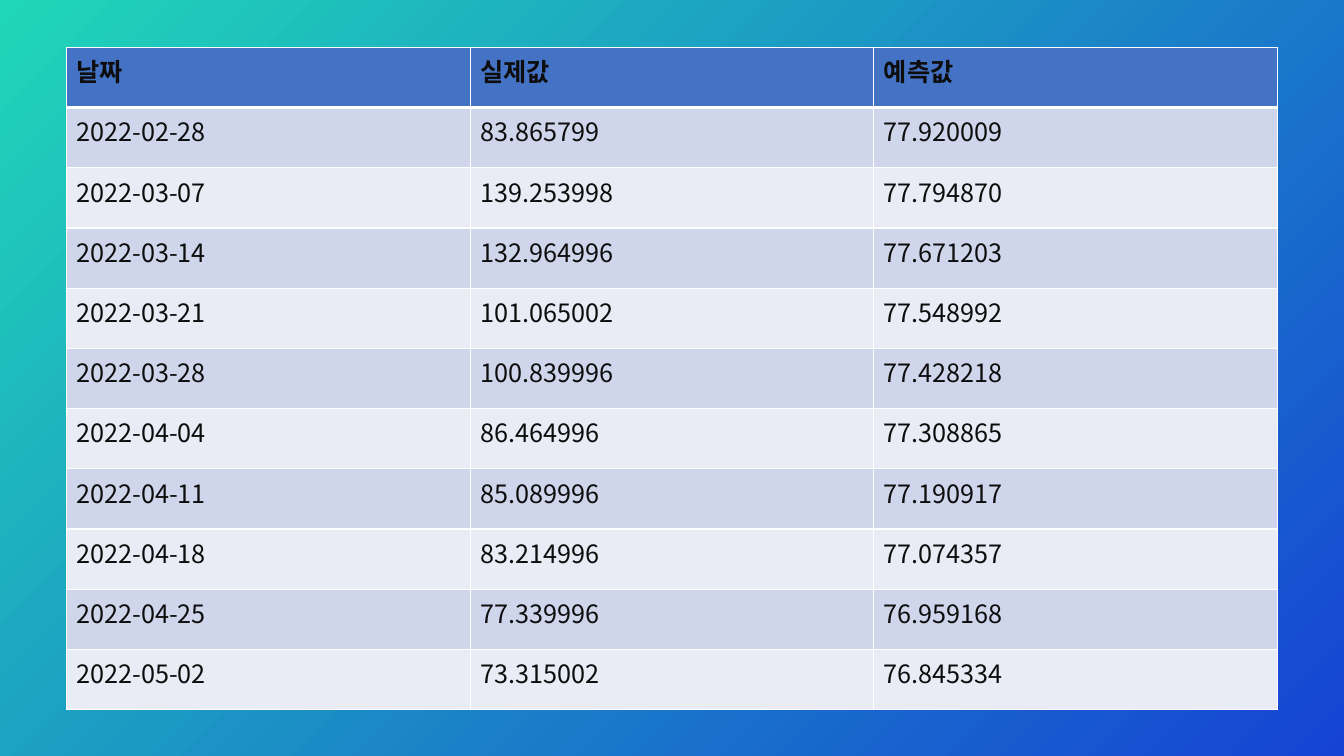
from lxml.etree import SubElement
from pptx import Presentation
from pptx.dml.color import RGBColor
from pptx.oxml import parse_xml
from pptx.oxml.ns import nsdecls, qn
from pptx.util import Inches, Pt

FONT = "Noto Sans CJK KR"
COLORS = {
    "gradient_start": "20D6B8",
    "gradient_end": "1643D4",
    "header": "4472C4",
    "odd_row": "CFD5EA",
    "even_row": "E9EBF5",
    "border": "FFFFFF",
    "text": "0D0D0D",
}
FORECAST = [
    ("날짜", "실제값", "예측값"),
    ("2022-02-28", "83.865799", "77.920009"),
    ("2022-03-07", "139.253998", "77.794870"),
    ("2022-03-14", "132.964996", "77.671203"),
    ("2022-03-21", "101.065002", "77.548992"),
    ("2022-03-28", "100.839996", "77.428218"),
    ("2022-04-04", "86.464996", "77.308865"),
    ("2022-04-11", "85.089996", "77.190917"),
    ("2022-04-18", "83.214996", "77.074357"),
    ("2022-04-25", "77.339996", "76.959168"),
    ("2022-05-02", "73.315002", "76.845334"),
]


def color(name):
    return RGBColor.from_string(COLORS[name])


def paint_background(page):
    fill = page.background.fill
    fill.gradient()
    fill.gradient_angle = 315  # counter-clockwise: top left to bottom right
    for stop, name in zip(fill.gradient_stops, ("gradient_start", "gradient_end")):
        stop.color.rgb = color(name)


def write_text(frame, text, size=18, bold=False, font=FONT, ink="text"):
    span = frame.paragraphs[0].add_run()
    span.text = text
    span.font.size = Pt(size)
    span.font.bold = bold
    span.font.color.rgb = color(ink)
    span.font.name = font
    SubElement(span.font._element, qn("a:ea"), typeface=font)


def set_borders(cell, left=1, right=1, top=1, bottom=1):
    """Draw the four cell borders, with widths in points."""
    properties = cell._tc.get_or_add_tcPr()
    sides = (("L", left), ("R", right), ("T", top), ("B", bottom))
    for position, (side, width) in enumerate(sides):
        properties.insert(position, parse_xml(
            f'<a:ln{side} {nsdecls("a")} w="{Pt(width)}"><a:solidFill>'
            f'<a:srgbClr val="{COLORS["border"]}"/></a:solidFill></a:ln{side}>'))


def add_forecast_table(page, rows, left, top, width, height):
    table = page.shapes.add_table(
        len(rows), len(rows[0]),
        Inches(left), Inches(top), Inches(width), Inches(height)).table
    for column in table.columns:
        column.width = Inches(width / len(rows[0]))
    for row in table.rows:
        row.height = Inches(height / len(rows))
    for row_index, values in enumerate(rows):
        is_header = row_index == 0
        fill_name = "header" if is_header else "odd_row" if row_index % 2 else "even_row"
        for column_index, value in enumerate(values):
            cell = table.cell(row_index, column_index)
            cell.fill.solid()
            cell.fill.fore_color.rgb = color(fill_name)
            set_borders(cell, top=3 if row_index == 1 else 1, bottom=3 if is_header else 1)
            write_text(cell.text_frame, value, bold=is_header)


def main():
    deck = Presentation()
    deck.slide_width, deck.slide_height = Inches(13.33), Inches(7.5)
    page = deck.slides.add_slide(deck.slide_layouts[6])
    paint_background(page)
    add_forecast_table(page, FORECAST, left=0.66, top=0.47, width=12.01, height=6.57)
    deck.save("out.pptx")


if __name__ == "__main__":
    main()
